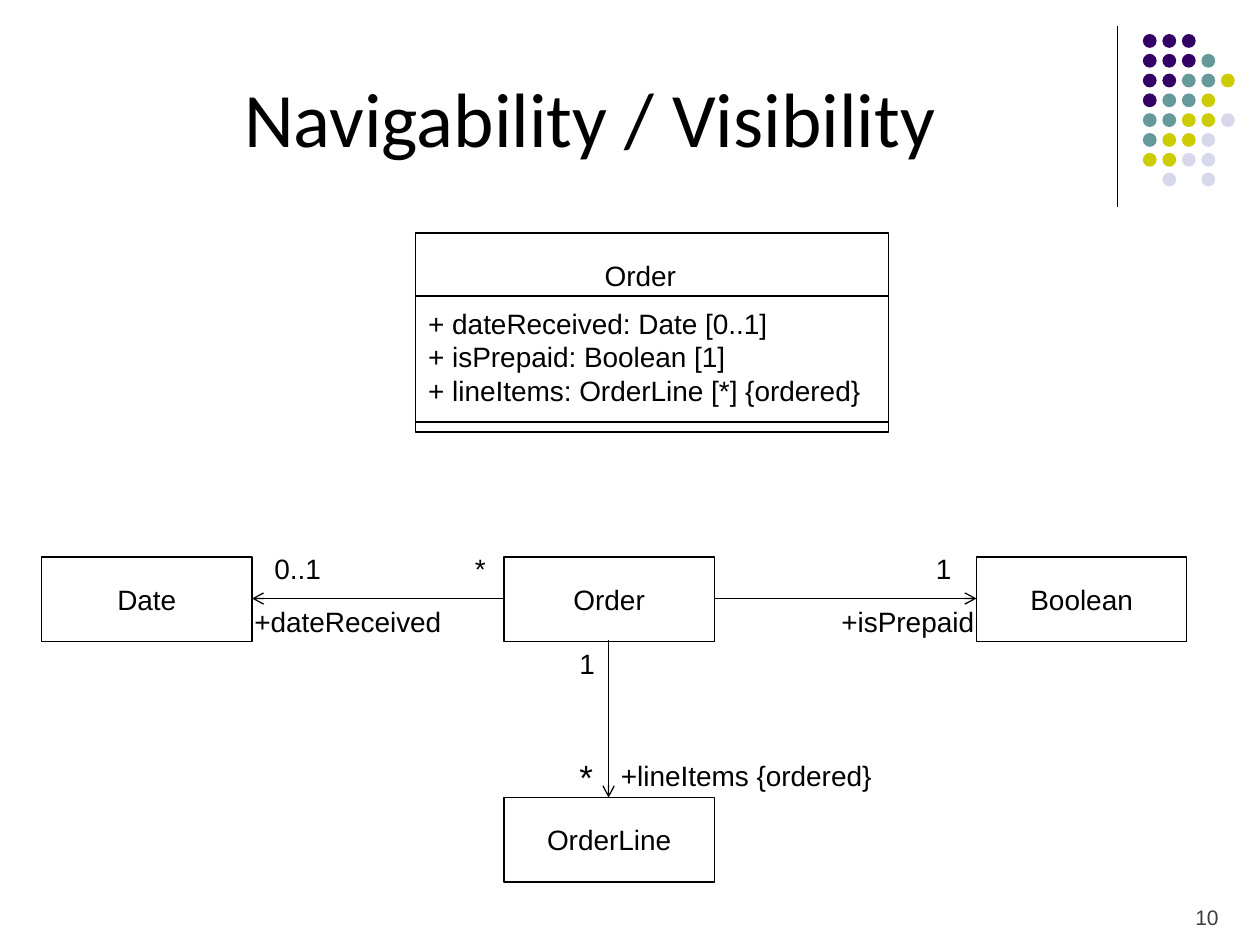
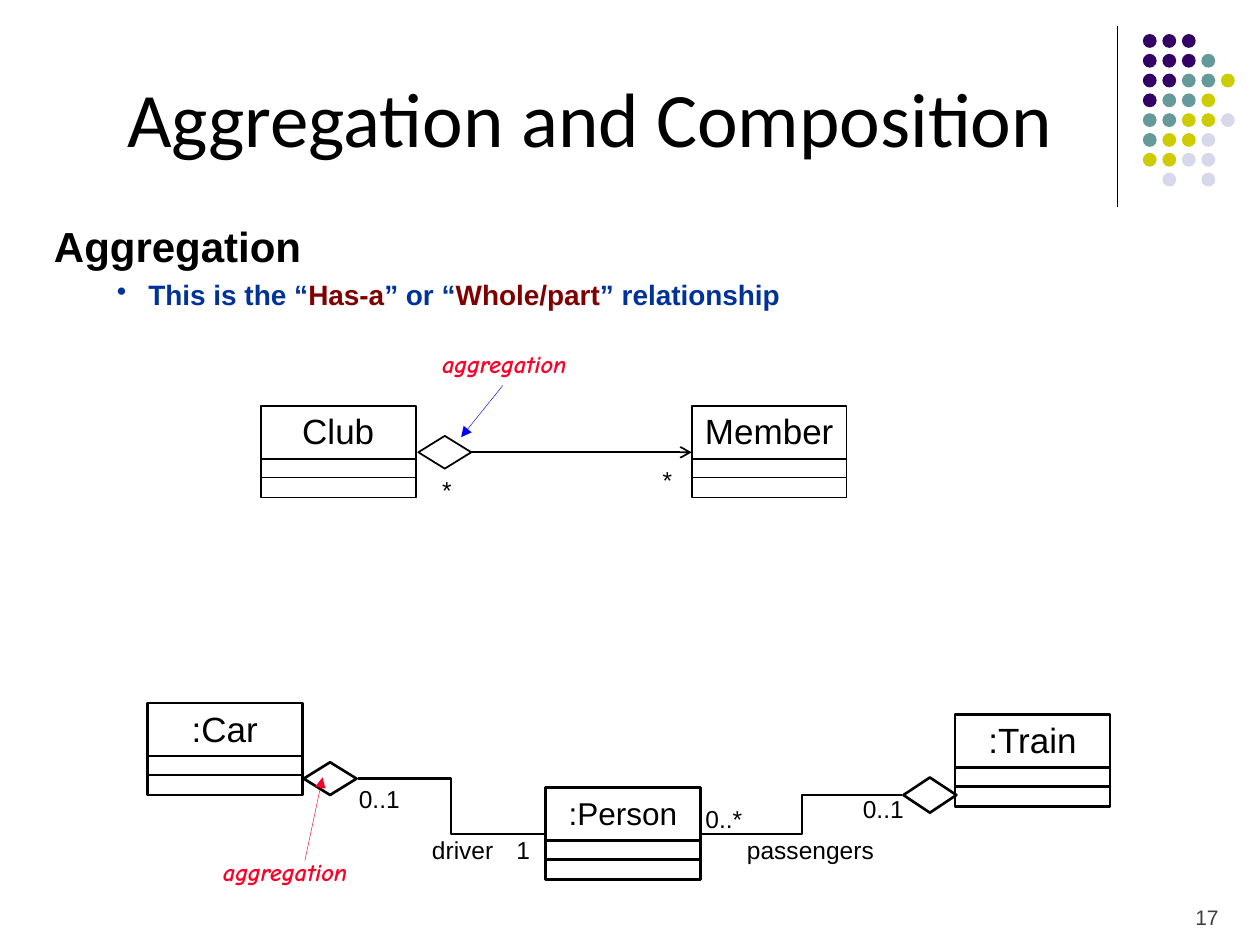
"""Build two UML slides: navigability of associations, and aggregation."""

from dataclasses import dataclass

import lxml.etree
import pptx
import pptx.chart.data
import pptx.dml.color
import pptx.enum.shapes
import pptx.enum.text
import pptx.oxml
import pptx.oxml.ns
import pptx.util

Inches = pptx.util.Inches
Pt = pptx.util.Pt
SHAPE = pptx.enum.shapes.MSO_SHAPE
ALIGN = pptx.enum.text.PP_ALIGN
ANCHOR = pptx.enum.text.MSO_ANCHOR
qn = pptx.oxml.ns.qn

BLACK = "000000"
WHITE = "FFFFFF"
GREY = "3F3F3F"
RED = "FC0128"
BLUE = "0000FF"
NAVY = "003399"
MAROON = "800000"
BODY_FONT = "Arial"
TITLE_FONT = "Calibri"
NOTE_FONT = "Comic Neue"

DOT_COLOURS = {"P": "330066", "T": "669999", "Y": "CCCC00", "L": "D8D8EC"}
DOT_ROWS = ("PPP", "PPPT", "PPTTY", "PTTY", "TTYYL", "TYYL", "YYLL", ".L.L")
DOT_X_STEP = (9.69 - 9.07) / 4
DOT_Y_STEP = (1.37 - 0.27) / 7

CLASS_WIDTH, CLASS_HEIGHT = 1.67, 0.67
ICON_WIDTH, ICON_HEIGHT = 1.23, 0.73
ATTRIBUTES_TOP, ATTRIBUTES_HEIGHT = 0.42, 0.15


@dataclass(frozen=True)
class Label:
    """Free text at the end of an association."""

    text: str
    left: float
    top: float
    width: float
    size: int = 16
    note: bool = False


@dataclass(frozen=True)
class Link:
    """A straight or elbow line, with an optional arrowhead at its end."""

    start: tuple[float, float]
    end: tuple[float, float]
    head: str = ""
    weight: float = 0.75
    colour: str = BLACK
    elbow: bool = False


@dataclass(frozen=True)
class ClassBox:
    """A plain class rectangle with its name."""

    name: str
    left: float
    top: float


@dataclass(frozen=True)
class ClassIcon:
    """A class rectangle with name, attribute and operation compartments."""

    name: str
    left: float
    top: float
    size: int = 20
    weight: float = 1.5


@dataclass(frozen=True)
class Diamond:
    """The aggregation mark on the side of the whole."""

    left: float
    top: float
    height: float = 0.26
    weight: float = 1.5


NAVIGABILITY_CLASSES = (
    ClassBox("Order", 4, 4.42),
    ClassBox("Date", 0.33, 4.42),
    ClassBox("Boolean", 7.75, 4.42),
    ClassBox("OrderLine", 4, 6.33),
)
NAVIGABILITY_LINKS = (
    Link((3.3, 2.35), (7.05, 2.35)),
    Link((3.3, 3.35), (7.05, 3.35)),
    Link((4, 4.75), (2, 4.75), "arrow"),
    Link((4.83, 5.08), (4.83, 6.33), "arrow"),
    Link((5.67, 4.75), (7.75, 4.75), "arrow"),
)
NAVIGABILITY_LABELS = (
    Label("+isPrepaid", 6.58, 4.75, 1.26),
    Label("+dateReceived", 1.92, 4.75, 1.69),
    Label("+lineItems {ordered}", 4.83, 5.97, 2.2),
    Label("1", 7.33, 4.33, 0.32),
    Label("*", 4.5, 5.95, 0.31, 20),
    Label("0..1", 2.08, 4.33, 0.57),
    Label("*", 3.67, 4.33, 0.29),
    Label("1", 4.5, 5.08, 0.32),
)
AGGREGATION_ICONS = (
    ClassIcon(":Person", 4.33, 6.25, size=18),
    ClassIcon(":Car", 1.17, 5.58),
    ClassIcon(":Train", 7.58, 5.67),
    ClassIcon("Member", 5.49, 3.22, weight=1),
    ClassIcon("Club", 2.07, 3.22, weight=1),
)
AGGREGATION_LINKS = (
    Link((2.84, 6.18), (4.32, 6.62), weight=1.5, elbow=True),
    Link((5.57, 6.62), (7.16, 6.31), weight=1.5, elbow=True),
    Link((3.74, 3.59), (5.49, 3.59), "arrow", 1),
)
AGGREGATION_DIAMONDS = (
    Diamond(2.41, 6.05),
    Diamond(7.17, 6.17, height=0.28),
    Diamond(3.32, 3.46, weight=1),
)
NOTE_POINTERS = (
    Link((2.42, 6.83), (2.56, 6.17), "triangle", 0.25, RED),
    Link((3.99, 3.06), (3.66, 3.47), "triangle", 0.25, BLUE),
)
AGGREGATION_LABELS = (
    Label("0..1", 2.75, 6.17, 0.53, 14),
    Label("0..1", 6.75, 6.25, 0.53, 14),
    Label("passengers", 5.83, 6.58, 1.21, 14),
    Label("driver", 3.33, 6.58, 0.69, 14),
    Label("1", 4, 6.58, 0.31, 14),
    Label("0..*", 5.5, 6.33, 0.49, 14),
    Label("*", 5.16, 3.64, 0.28, 14),
    Label("*", 3.41, 3.72, 0.28, 14),
    Label("aggregation", 1.67, 6.75, 1.28, 14, note=True),
    Label("aggregation", 3.41, 2.72, 1.28, 14, note=True),
)


def rgb(colour: str) -> pptx.dml.color.RGBColor:
    """Turn a hex string into a colour."""
    return pptx.dml.color.RGBColor.from_string(colour)


def style(paragraph, size: float, colour: str = BLACK, font: str = BODY_FONT,
          bold: bool = False, italic: bool = False, align=ALIGN.LEFT) -> None:
    """Format a paragraph and all its runs."""
    paragraph.alignment = align
    for run in paragraph.runs:
        run.font.name, run.font.size = font, Pt(size)
        run.font.bold, run.font.italic = bold, italic
        run.font.color.rgb = rgb(colour)


def indent(paragraph, margin: float, first: float = 0) -> None:
    """Set the left margin and first-line indent of a paragraph."""
    properties = paragraph._p.get_or_add_pPr()
    properties.set("marL", str(Inches(margin)))
    properties.set("indent", str(Inches(first)))


def add_outline(slide, kind, left: float, top: float, width: float, height: float,
                weight: float = 0.75, fill: str = "", line: str = BLACK):
    """Add a preset shape, hollow or without a line where the colour is empty."""
    shape = slide.shapes.add_shape(kind, Inches(left), Inches(top), Inches(width), Inches(height))
    shape.shadow.inherit = False
    if fill:
        shape.fill.solid()
        shape.fill.fore_color.rgb = rgb(fill)
    else:
        shape.fill.background()
    if line:
        shape.line.color.rgb = rgb(line)
        shape.line.width = Pt(weight)
    else:
        shape.line.fill.background()
    return shape


def add_text(slide, text: str, left: float, top: float, width: float, height: float,
             wrap: bool = True, anchor=ANCHOR.TOP):
    """Add a text box and return its text frame."""
    frame = slide.shapes.add_textbox(
        Inches(left), Inches(top), Inches(width), Inches(height)).text_frame
    frame.word_wrap, frame.vertical_anchor = wrap, anchor
    frame.text = text
    return frame


def add_link(slide, link: Link) -> None:
    """Draw a line with its arrowhead."""
    kinds = pptx.enum.shapes.MSO_CONNECTOR
    connector = slide.shapes.add_connector(
        kinds.ELBOW if link.elbow else kinds.STRAIGHT,
        *(Inches(value) for value in link.start + link.end))
    connector.line.color.rgb = rgb(link.colour)
    connector.line.width = Pt(link.weight)
    if link.head:
        outline = connector.line._get_or_add_ln()
        lxml.etree.SubElement(outline, qn("a:tailEnd"), type=link.head)
    lxml.etree.SubElement(connector._element.spPr, qn("a:effectLst"))


def add_label(slide, label: Label) -> None:
    """Write a role name, a multiplicity or a note."""
    height = label.size * 1.2 / 72 + 0.1
    frame = add_text(slide, label.text, label.left, label.top, label.width, height, wrap=False)
    frame.auto_size = pptx.enum.text.MSO_AUTO_SIZE.SHAPE_TO_FIT_TEXT
    style(frame.paragraphs[0], label.size, RED if label.note else BLACK,
          NOTE_FONT if label.note else BODY_FONT, label.note, label.note)


def add_class_name(shape, name: str, size: int) -> None:
    """Centre a class name in its shape."""
    frame = shape.text_frame
    frame.word_wrap, frame.vertical_anchor = False, ANCHOR.MIDDLE
    frame.text = name
    style(frame.paragraphs[0], size, align=ALIGN.CENTER)


def add_class_box(slide, box: ClassBox) -> None:
    """Draw a plain class."""
    shape = add_outline(slide, SHAPE.RECTANGLE, box.left, box.top, CLASS_WIDTH, CLASS_HEIGHT)
    add_class_name(shape, box.name, 16)


def add_class_icon(slide, icon: ClassIcon) -> None:
    """Draw a class with three compartments."""
    shape = add_outline(slide, SHAPE.RECTANGLE, icon.left, icon.top,
                        ICON_WIDTH, ICON_HEIGHT, icon.weight)
    add_class_name(shape, icon.name, icon.size)
    shape.text_frame.margin_top = 0
    shape.text_frame.margin_bottom = Inches(0.33)
    add_outline(slide, SHAPE.RECTANGLE, icon.left, icon.top + ATTRIBUTES_TOP,
                ICON_WIDTH, ATTRIBUTES_HEIGHT, icon.weight)


def add_base_slide(deck, title: str, number: int):
    """Add a slide with the dot pattern, rule, title and page number."""
    slide = deck.slides.add_slide(deck.slide_layouts[6])
    add_link(slide, Link((8.87, 0.21), (8.87, 1.64)))
    for row, letters in enumerate(DOT_ROWS):
        for column, letter in enumerate(letters):
            if letter in DOT_COLOURS:
                add_outline(slide, SHAPE.OVAL, 9.07 + column * DOT_X_STEP, 0.27 + row * DOT_Y_STEP,
                            0.11, 0.11, fill=DOT_COLOURS[letter], line="")
    heading = add_text(slide, title, 0.5, 0.3, 8.37, 1.25, anchor=ANCHOR.MIDDLE)
    style(heading.paragraphs[0], 44, font=TITLE_FONT, align=ALIGN.CENTER)
    page = add_text(slide, str(number), 8.97, 7.08, 0.8, 0.3, anchor=ANCHOR.BOTTOM)
    page.margin_bottom = 0
    style(page.paragraphs[0], 12, GREY, align=ALIGN.RIGHT)
    return slide


def add_order_class(slide) -> None:
    """Draw the Order class with its attributes."""
    frame = add_outline(slide, SHAPE.RECTANGLE, 3.3, 1.85, 3.75, 1.58).text_frame
    frame.word_wrap, frame.vertical_anchor = True, ANCHOR.MIDDLE
    frame.text = ("Order\n+ dateReceived: Date [0..1]\n+ isPrepaid: Boolean [1]\n"
                  "+ lineItems: OrderLine [*] {ordered}")
    for paragraph in frame.paragraphs:
        style(paragraph, 16)
    indent(frame.paragraphs[0], 1.4)
    frame.paragraphs[1].space_before = Pt(8)


def add_definition(slide) -> None:
    """Write the definition of aggregation."""
    frame = add_text(slide, "Aggregation", 0.33, 1.7, 9.33, 5.38)
    style(frame.paragraphs[0], 24, bold=True)
    definition = frame.add_paragraph()
    for part in ("This is the “", "Has-a", "” or “", "Whole/part", "” relationship"):
        definition.add_run().text = part
    style(definition, 16, NAVY, bold=True)
    for term in definition.runs[1::2]:
        term.font.color.rgb = rgb(MAROON)
    definition.space_before = Pt(4)
    indent(definition, 0.75, -0.25)
    properties = definition._p.get_or_add_pPr()
    bullet_colour = lxml.etree.SubElement(properties, qn("a:buClr"))
    lxml.etree.SubElement(bullet_colour, qn("a:srgbClr"), val=NAVY)
    lxml.etree.SubElement(properties, qn("a:buChar"), char="•")


def add_all(slide, draw, items) -> None:
    """Draw every item of a group."""
    for item in items:
        draw(slide, item)


def add_diamond(slide, mark: Diamond) -> None:
    """Draw an aggregation mark."""
    add_outline(slide, SHAPE.DIAMOND, mark.left, mark.top, 0.42, mark.height, mark.weight, WHITE)


def main() -> None:
    """Build and save the deck."""
    deck = pptx.Presentation()
    deck.slide_width, deck.slide_height = Inches(10), Inches(7.5)

    navigability = add_base_slide(deck, "Navigability / Visibility", 10)
    add_order_class(navigability)
    add_all(navigability, add_class_box, NAVIGABILITY_CLASSES)
    add_all(navigability, add_link, NAVIGABILITY_LINKS)
    add_all(navigability, add_label, NAVIGABILITY_LABELS)

    aggregation = add_base_slide(deck, "Aggregation and Composition", 17)
    add_definition(aggregation)
    add_all(aggregation, add_class_icon, AGGREGATION_ICONS)
    add_all(aggregation, add_link, AGGREGATION_LINKS)
    add_all(aggregation, add_diamond, AGGREGATION_DIAMONDS)
    add_all(aggregation, add_link, NOTE_POINTERS)
    add_all(aggregation, add_label, AGGREGATION_LABELS)

    deck.save("out.pptx")


if __name__ == "__main__":
    main()
